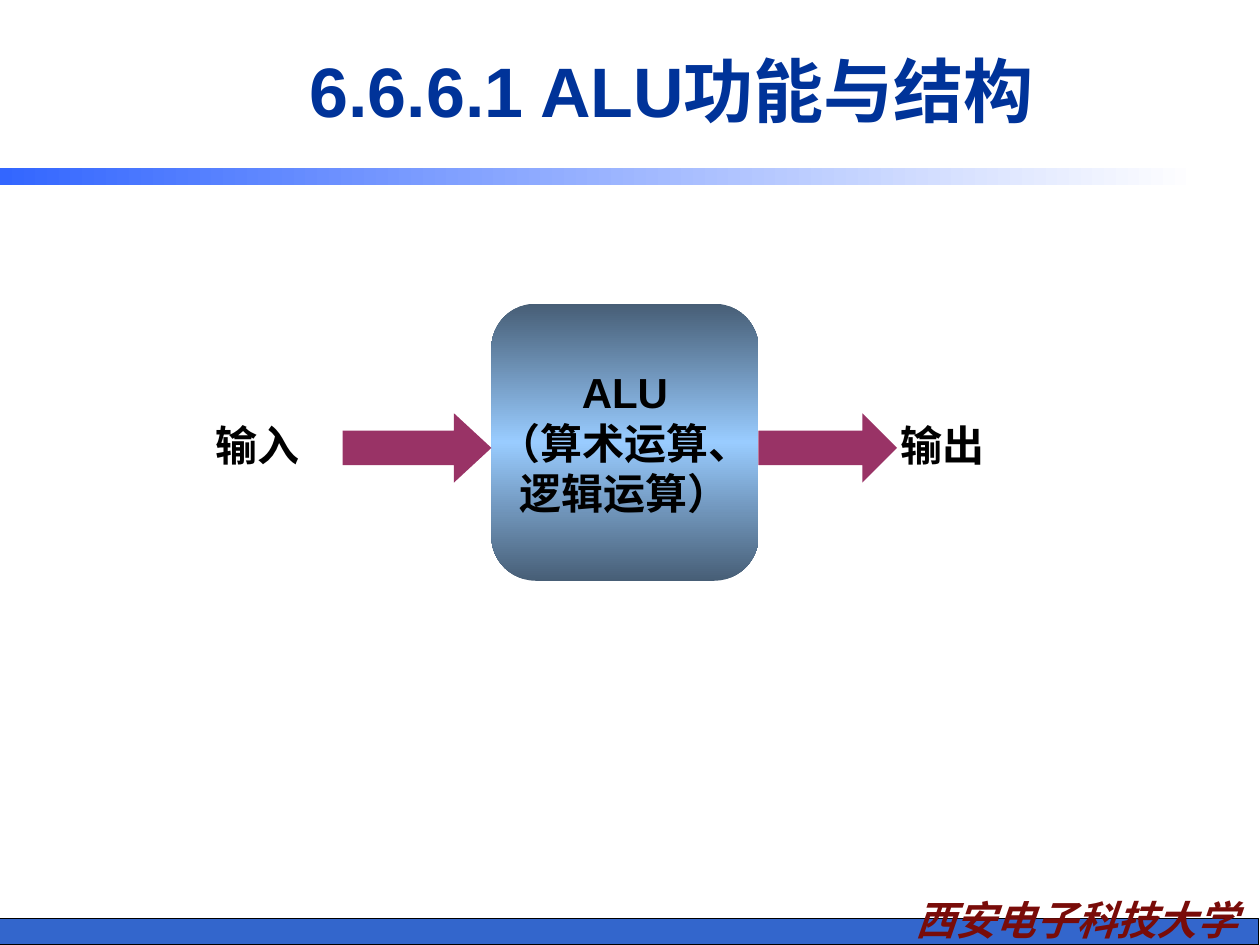
from copy import deepcopy

from lxml.etree import SubElement
from pptx import Presentation
from pptx.dml.color import RGBColor
from pptx.enum.shapes import MSO_SHAPE as Shape
from pptx.enum.text import MSO_ANCHOR as Anchor, MSO_AUTO_SIZE as Auto, PP_ALIGN as Align
from pptx.oxml.ns import qn
from pptx.util import Inches, Pt

NAVY = RGBColor(0x00, 0x33, 0x99)
BLUE = RGBColor(0x33, 0x66, 0xFF)
BAND = RGBColor(0x33, 0x66, 0xCC)
SKY = RGBColor(0x99, 0xCC, 0xFF)
STEEL = RGBColor(0x47, 0x5E, 0x76)
PLUM = RGBColor(0x99, 0x33, 0x66)
WINE = RGBColor(0x79, 0x0C, 0x09)
BLACK = RGBColor(0, 0, 0)
WHITE = RGBColor(255, 255, 255)
HAN = "Noto Sans CJK SC"

deck = Presentation()
deck.slide_width, deck.slide_height = Inches(10), Inches(7.5)
slide = deck.slides.add_slide(deck.slide_layouts[5])
shapes = slide.shapes
COL, ROW = deck.slide_width / 100, deck.slide_height / 75


def draw(kind, x, y, w, h, *tones, angle=0):
    """Add a shape placed in grid cells; several tones make a gradient."""
    shape = shapes.add_shape(kind, int(x * COL), int(y * ROW), int(w * COL), int(h * ROW))
    shape.shadow.inherit = False
    shape.line.fill.background()
    fill = shape.fill
    if len(tones) == 1:
        fill.solid()
        fill.fore_color.rgb = tones[0]
        return shape
    fill.gradient()
    fill.gradient_angle = angle
    stops = shape._element.spPr.find(qn("a:gradFill")).find(qn("a:gsLst"))
    while len(stops) < len(tones):
        stops.append(deepcopy(stops[0]))
    for i, (stop, tone) in enumerate(zip(fill.gradient_stops, tones)):
        stop.position = i / (len(tones) - 1)
        stop.color.rgb = tone
    return shape


def write(shape, lines, size, tone, face="Arial", slant=False, wrap=True):
    frame = shape.text_frame
    frame.auto_size = Auto.NONE
    frame.word_wrap = wrap
    frame.vertical_anchor = Anchor.MIDDLE
    for i, line in enumerate(lines):
        para = frame.add_paragraph() if i else frame.paragraphs[0]
        para.alignment = Align.CENTER
        run = para.add_run()
        run.text = line
        font = run.font
        font.size, font.name, font.bold, font.italic = Pt(size), face, True, slant
        font.color.rgb = tone
        SubElement(run._r.get_or_add_rPr(), qn("a:ea"), typeface=HAN)


# Footer and rule
foot = draw(Shape.RECTANGLE, -0.1, 72.9, 100, 2.1, BAND)
foot.line.color.rgb = BLACK
foot.line.width = Pt(0.75)
school = shapes.add_textbox(int(69.7 * COL), int(70.5 * ROW), int(31.5 * COL), int(4.9 * ROW))
write(school, ["西安电子科技大学"], 23, WINE, HAN, slant=True)
draw(Shape.RECTANGLE, 0, 13.3, 95.1, 1.4, BLUE, WHITE)

# Title
title = shapes.title
title.left, title.top = int(13.3 * COL), int(1.7 * ROW)
title.width, title.height = int(80 * COL), int(10.8 * ROW)
write(title, ["6.6.6.1 ALU功能与结构"], 40, NAVY)

# Unit with its input and output
left, right, mid = 39, 60.2, 32.8
unit = draw(Shape.ROUNDED_RECTANGLE, left, 24.1, right - left, 22, STEEL, SKY, STEEL, angle=90)
write(unit, ["ALU", "（算术运算、", "逻辑运算）"], 24, BLACK, wrap=False)
for x, wide, head in ((right, 11, 0.5), (left - 11.8, 11.8, 0.54)):
    arrow = draw(Shape.RIGHT_ARROW, x, mid, wide, 5.5, PLUM)
    arrow.adjustments[1] = head
for x, word in ((15.3, "输入"), (69.7, "输出")):
    label = shapes.add_textbox(int(x * COL), int(mid * ROW), int(10.2 * COL), int(5 * ROW))
    write(label, [word], 24, BLACK)

deck.save("out.pptx")
